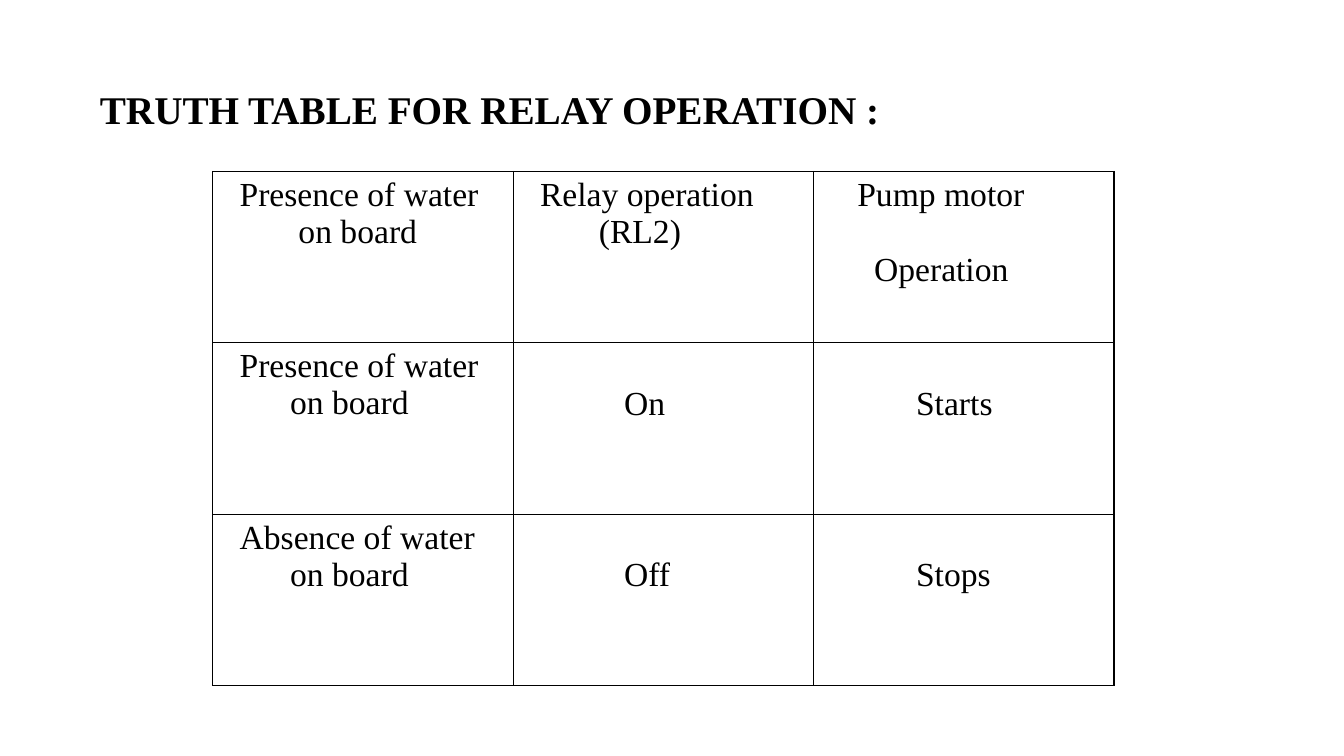
from dataclasses import dataclass

import lxml.etree
import pptx
import pptx.dml.color
import pptx.enum.text
import pptx.oxml.ns
import pptx.util


@dataclass(frozen=True)
class Theme:
    """Colours, font and type sizes of the slide."""

    ink: str = "000000"
    paper: str = "FFFFFF"
    font: str = "Times New Roman"
    title_size: int = 28
    cell_size: int = 24
    border_width: int = 1
    indent_step: int = 6
    line_height: int = 27


class SlideBuilder:
    """Places styled elements on one slide in percent of its size."""

    def __init__(self, presentation, theme):
        """Add a title-only slide to the presentation."""
        self.presentation = presentation
        self.theme = theme
        self.slide = presentation.slides.add_slide(presentation.slide_layouts[5])

    def area(self, left, top, width, height):
        """Convert percentages of the slide into lengths."""
        across = self.presentation.slide_width / 100
        down = self.presentation.slide_height / 100
        return [round(length) for length in (left * across, top * down, width * across, height * down)]

    def style(self, paragraph, size, bold=False):
        """Apply the theme's font to a left-aligned paragraph."""
        paragraph.alignment = pptx.enum.text.PP_ALIGN.LEFT
        paragraph.font.name = self.theme.font
        paragraph.font.size = pptx.util.Pt(size)
        paragraph.font.bold = bold
        paragraph.font.color.rgb = pptx.dml.color.RGBColor.from_string(self.theme.ink)

    def title(self, text, *box):
        """Fill and place the title placeholder."""
        shape = self.slide.shapes.title
        shape.left, shape.top, shape.width, shape.height = self.area(*box)
        frame = shape.text_frame
        frame.text = text
        frame.word_wrap = True
        frame.auto_size = pptx.enum.text.MSO_AUTO_SIZE.NONE
        frame.vertical_anchor = pptx.enum.text.MSO_ANCHOR.TOP
        self.style(frame.paragraphs[0], self.theme.title_size, bold=True)

    def table(self, rows, *box):
        """Draw an evenly divided table with ruled cells."""
        shape = self.slide.shapes.add_table(len(rows), len(rows[0]), *self.area(*box))
        table = shape.table
        table.first_row = table.horz_banding = False
        for row_index, row in enumerate(rows):
            for column_index, content in enumerate(row):
                self.cell(table.cell(row_index, column_index), *content)

    def cell(self, cell, lines, skipped_lines=0, gap_lines=0):
        """Write indented lines, given as (indent steps, text), in a cell."""
        cell.fill.solid()
        cell.fill.fore_color.rgb = pptx.dml.color.RGBColor.from_string(self.theme.paper)
        cell.margin_top = pptx.util.Inches(0.05) + pptx.util.Pt(skipped_lines * self.theme.line_height)
        self.borders(cell)
        cell.text = "\n".join(text for _, text in lines)
        for index, (paragraph, (steps, _)) in enumerate(zip(cell.text_frame.paragraphs, lines)):
            properties = paragraph._p.get_or_add_pPr()
            properties.set("marL", str(pptx.util.Pt(steps * self.theme.indent_step)))
            properties.set("indent", "0")
            if index and gap_lines:
                paragraph.space_before = pptx.util.Pt(gap_lines * self.theme.line_height)
            self.style(paragraph, self.theme.cell_size)

    def borders(self, cell):
        """Rule all four sides of a cell."""
        qualified = pptx.oxml.ns.qn
        properties = cell._tc.get_or_add_tcPr()
        for position, side in enumerate(("a:lnL", "a:lnR", "a:lnT", "a:lnB")):
            line = lxml.etree.Element(qualified(side), w=str(pptx.util.Pt(self.theme.border_width)))
            fill = lxml.etree.SubElement(line, qualified("a:solidFill"))
            lxml.etree.SubElement(fill, qualified("a:srgbClr"), val=self.theme.ink)
            properties.insert(position, line)


def main():
    """Build the relay truth table slide."""
    presentation = pptx.Presentation()
    presentation.slide_width = pptx.util.Inches(13.33)
    presentation.slide_height = pptx.util.Inches(7.5)
    builder = SlideBuilder(presentation, Theme())
    builder.title("TRUTH TABLE FOR RELAY OPERATION :", 6.68, 10.67, 59.8, 7.6)
    truth_table = [
        [
            ([(2, "Presence of water"), (9, "on board")],),
            ([(2, "Relay operation"), (9, "(RL2)")],),
            ([(4, "Pump motor"), (6, "Operation")], 0, 1),
        ],
        [
            ([(2, "Presence of water"), (8, "on board")],),
            ([(12, "On")], 1),
            ([(11, "Starts")], 1),
        ],
        [
            ([(2, "Absence of water"), (8, "on board")],),
            ([(12, "Off")], 1),
            ([(11, "Stops")], 1),
        ],
    ]
    builder.table(truth_table, 15.83, 22.67, 67.06, 68)
    presentation.save("out.pptx")


if __name__ == "__main__":
    main()
